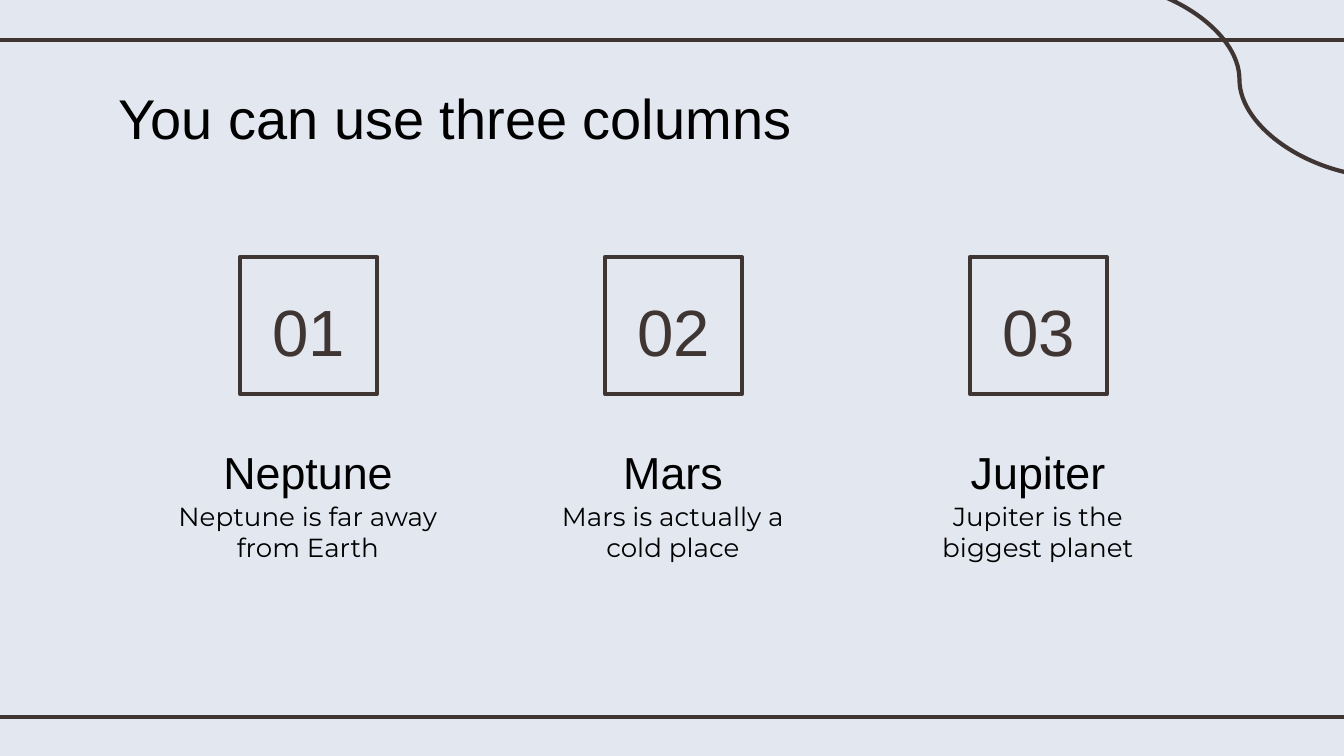
from lxml import etree
from pptx import Presentation
from pptx import util as u
from pptx.dml.color import RGBColor
from pptx.enum import shapes, text
from pptx.oxml.ns import qn

PX = 914400 / 134.4
BACKGROUND = RGBColor(0xE3, 0xE7, 0xF0)
BROWN = RGBColor(0x3F, 0x35, 0x33)
BLACK = RGBColor(0, 0, 0)

TITLE = {"size": 30, "name": "Arial", "color": BLACK, "align": text.PP_ALIGN.LEFT,
         "anchor": text.MSO_ANCHOR.TOP, "margins": (18, 0)}
HEADING = {**TITLE, "size": 24, "align": text.PP_ALIGN.CENTER}
DETAIL = {**HEADING, "size": 14, "name": "Montserrat", "margins": (13, 13)}
NUMBER = {**HEADING, "size": 35, "color": BROWN,
          "anchor": text.MSO_ANCHOR.MIDDLE, "margins": (13, 4)}


def emu(*lengths):
    return [u.Emu(round(length * PX)) for length in lengths]


def write(shape, words, style):
    frame = shape.text_frame
    top, bottom = emu(*style["margins"])
    side = u.Inches(0.1)
    settings = {"word_wrap": True, "auto_size": text.MSO_AUTO_SIZE.NONE,
                "vertical_anchor": style["anchor"], "margin_left": side,
                "margin_right": side, "margin_top": top, "margin_bottom": bottom}
    for name, value in settings.items():
        setattr(frame, name, value)
    paragraph = frame.paragraphs[0]
    paragraph.alignment = style["align"]
    run = paragraph.add_run()
    run.text = words
    for name, value in {"size": u.Pt(style["size"]), "name": style["name"]}.items():
        setattr(run.font, name, value)
    run.font.color.rgb = style["color"]


presentation = Presentation()
presentation.slide_width, presentation.slide_height = emu(1344, 756)
slide = presentation.slides.add_slide(presentation.slide_layouts[5])
slide.background.fill.solid()
slide.background.fill.fore_color.rgb = BACKGROUND

for kind, ends in (
    (shapes.MSO_CONNECTOR.STRAIGHT, (-11, 40, 1355, 40)),
    (shapes.MSO_CONNECTOR.STRAIGHT, (-11, 717, 1355, 717)),
    (shapes.MSO_CONNECTOR.CURVE, (1093, -18, 1386, 177)),
):
    connector = slide.shapes.add_connector(kind, *emu(*ends))
    connector.line.color.rgb = BROWN
    connector.line.width = u.Pt(2.25)
    etree.SubElement(connector._element.spPr, qn("a:effectLst"))

title = slide.shapes.title
for name, value in zip(("left", "top", "width", "height"), emu(105, 66, 810, 85)):
    setattr(title, name, value)
write(title, "You can use three columns", TITLE)

columns = (
    ("01", "Neptune", "Neptune is far away from Earth"),
    ("02", "Mars", "Mars is actually a cold place"),
    ("03", "Jupiter", "Jupiter is the biggest planet"),
)
for index, (number, planet, detail) in enumerate(columns):
    left = 160 + 365 * index
    heading_box = slide.shapes.add_textbox(*emu(left, 427, 296, 73))
    write(heading_box, planet, HEADING)
    detail_box = slide.shapes.add_textbox(*emu(left, 487, 296, 85))
    write(detail_box, detail, DETAIL)

    badge = slide.shapes.add_group_shape()
    square = badge.shapes.add_shape(shapes.MSO_SHAPE.RECTANGLE, *emu(left + 80, 257, 137, 137))
    square.shadow.inherit = False
    square.fill.solid()
    square.fill.fore_color.rgb = BACKGROUND
    square.line.color.rgb = BROWN
    square.line.width = u.Pt(2.25)
    number_box = badge.shapes.add_textbox(*emu(left + 74, 277, 149, 98))
    write(number_box, number, NUMBER)

presentation.save("out.pptx")
